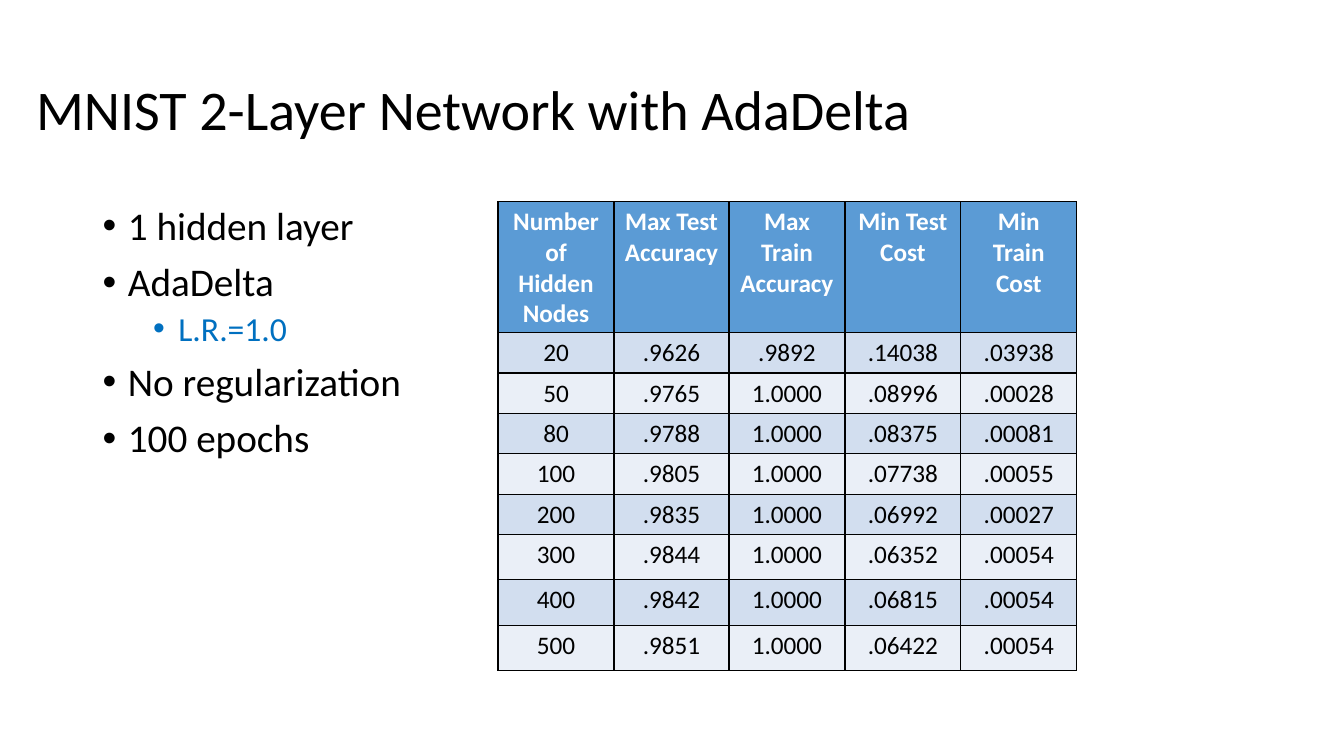
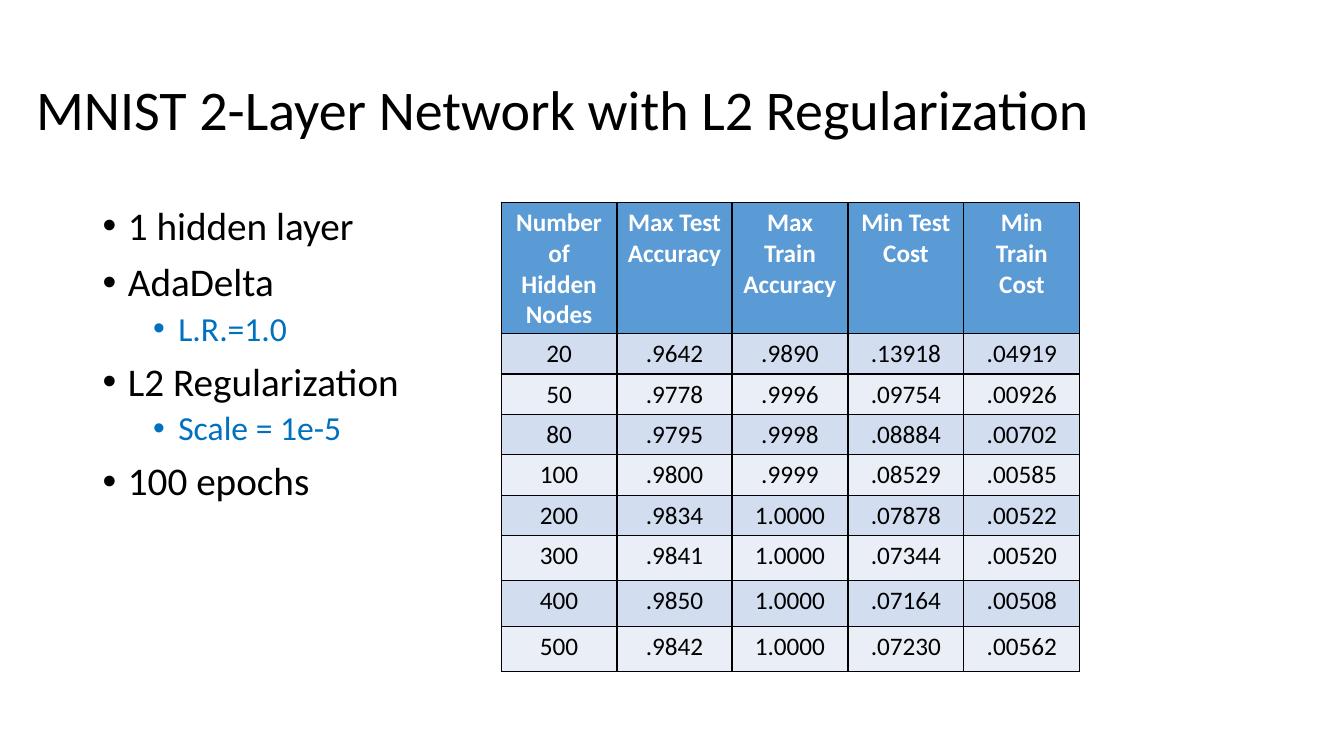
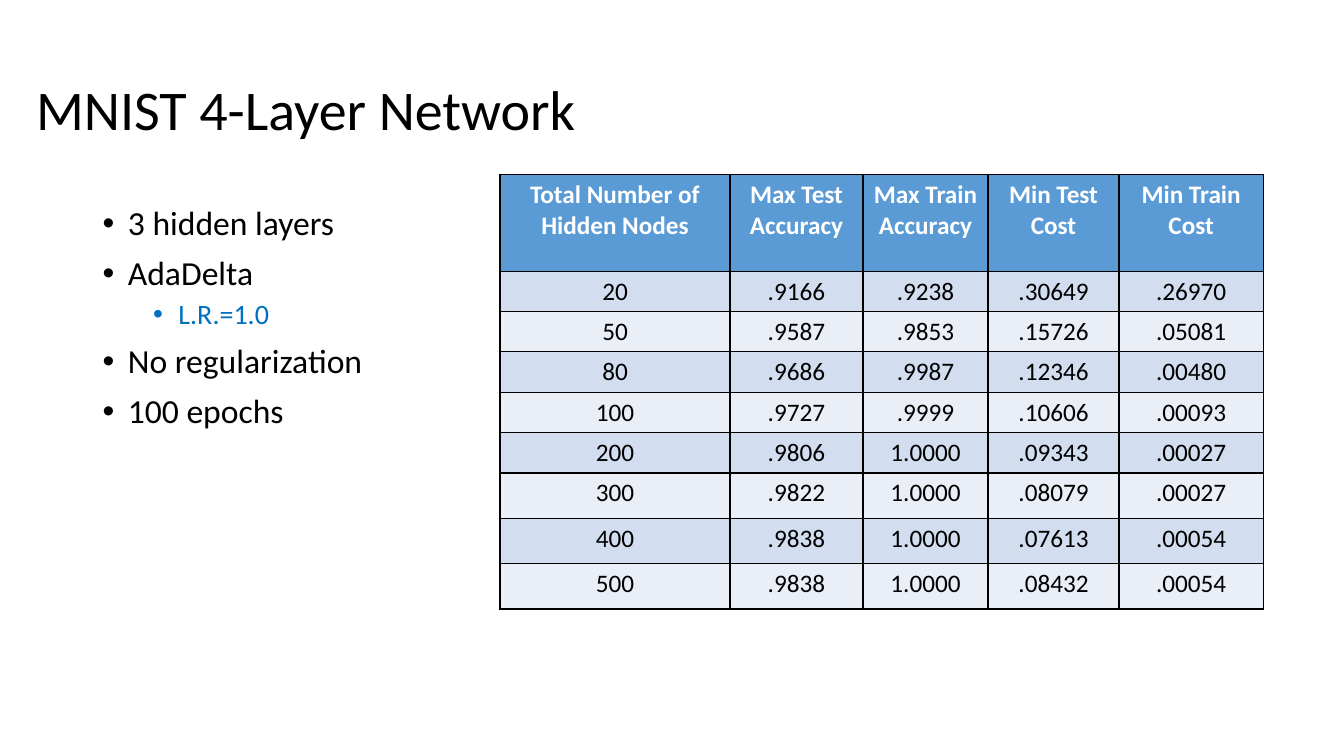
from dataclasses import dataclass

import lxml.etree
import pptx
import pptx.dml.color
import pptx.enum.text
import pptx.oxml.ns
import pptx.slide
import pptx.table
import pptx.text.text
import pptx.util

# Shared style
BLACK = pptx.dml.color.RGBColor(0x00, 0x00, 0x00)
WHITE = pptx.dml.color.RGBColor(0xFF, 0xFF, 0xFF)
ACCENT = pptx.dml.color.RGBColor(0x00, 0x70, 0xC0)
HEADER_FILL = pptx.dml.color.RGBColor(0x5B, 0x9B, 0xD5)
BAND_FILLS = (
    pptx.dml.color.RGBColor(0xD2, 0xDE, 0xEF),
    pptx.dml.color.RGBColor(0xEA, 0xEF, 0xF7),
)
FONT = "Calibri"
TITLE_SIZE = 40
TABLE_SIZE = 18
LINE_SPACING = 0.9
BORDER_WIDTH = 1

# Shared table structure
MEASURES = ["Max Test Accuracy", "Max Train Accuracy", "Min Test Cost", "Min Train Cost"]
NODE_COUNTS = ["20", "50", "80", "100", "200", "300", "400", "500"]
ROW_HEIGHTS = [0.96, 0.28, 0.33, 0.37, 0.37, 0.39, 0.45, 0.45, 0.45]
NARROW_COLUMNS = (1.15, 1.14, 1.15, 1.15, 1.15)
WIDE_COLUMNS = (2.28, 1.32, 1.24, 1.30, 1.43)


@dataclass
class Bullet:
    text: str
    level: int = 0


@dataclass
class Experiment:
    title: str
    bullets: list[Bullet]
    bullet_size: int
    table_left: float
    table_top: float
    column_widths: tuple[float, ...]
    nodes_heading: str
    results: list[str]  # one line of four measures per node count


EXPERIMENTS = [
    Experiment(
        title="MNIST 2-Layer Network with AdaDelta",
        bullets=[
            Bullet("1 hidden layer"),
            Bullet("AdaDelta"),
            Bullet("L.R.=1.0", 1),
            Bullet("No regularization"),
            Bullet("100 epochs"),
        ],
        bullet_size=28,
        table_left=4.94,
        table_top=2.0,
        column_widths=NARROW_COLUMNS,
        nodes_heading="Number of Hidden Nodes",
        results=[
            ".9626 .9892 .14038 .03938",
            ".9765 1.0000 .08996 .00028",
            ".9788 1.0000 .08375 .00081",
            ".9805 1.0000 .07738 .00055",
            ".9835 1.0000 .06992 .00027",
            ".9844 1.0000 .06352 .00054",
            ".9842 1.0000 .06815 .00054",
            ".9851 1.0000 .06422 .00054",
        ],
    ),
    Experiment(
        title="MNIST 2-Layer Network with L2 Regularization",
        bullets=[
            Bullet("1 hidden layer"),
            Bullet("AdaDelta"),
            Bullet("L.R.=1.0", 1),
            Bullet("L2 Regularization"),
            Bullet("Scale = 1e-5", 1),
            Bullet("100 epochs"),
        ],
        bullet_size=28,
        table_left=4.97,
        table_top=2.01,
        column_widths=NARROW_COLUMNS,
        nodes_heading="Number of Hidden Nodes",
        results=[
            ".9642 .9890 .13918 .04919",
            ".9778 .9996 .09754 .00926",
            ".9795 .9998 .08884 .00702",
            ".9800 .9999 .08529 .00585",
            ".9834 1.0000 .07878 .00522",
            ".9841 1.0000 .07344 .00520",
            ".9850 1.0000 .07164 .00508",
            ".9842 1.0000 .07230 .00562",
        ],
    ),
    Experiment(
        title="MNIST 4-Layer Network",
        bullets=[
            Bullet("3 hidden layers"),
            Bullet("AdaDelta"),
            Bullet("L.R.=1.0", 1),
            Bullet("No regularization"),
            Bullet("100 epochs"),
        ],
        bullet_size=24,
        table_left=4.96,
        table_top=1.73,
        column_widths=WIDE_COLUMNS,
        nodes_heading="Total Number of Hidden Nodes",
        results=[
            ".9166 .9238 .30649 .26970",
            ".9587 .9853 .15726 .05081",
            ".9686 .9987 .12346 .00480",
            ".9727 .9999 .10606 .00093",
            ".9806 1.0000 .09343 .00027",
            ".9822 1.0000 .08079 .00027",
            ".9838 1.0000 .07613 .00054",
            ".9838 1.0000 .08432 .00054",
        ],
    ),
]


def add_run(
    paragraph: pptx.text.text._Paragraph,
    text: str,
    size: int,
    color: pptx.dml.color.RGBColor,
    bold: bool = False,
) -> None:
    run = paragraph.add_run()
    run.text = text
    run.font.name = FONT
    run.font.size = pptx.util.Pt(size)
    run.font.bold = bold
    run.font.color.rgb = color


def add_text_frame(
    slide: pptx.slide.Slide, left: float, top: float, width: float, height: float
) -> pptx.text.text.TextFrame:
    shape = slide.shapes.add_textbox(
        pptx.util.Inches(left), pptx.util.Inches(top),
        pptx.util.Inches(width), pptx.util.Inches(height),
    )
    shape.text_frame.word_wrap = True
    return shape.text_frame


def add_title(slide: pptx.slide.Slide, title: str) -> None:
    text_frame = add_text_frame(slide, 0.26, 0.39, 11.5, 1.45)
    text_frame.vertical_anchor = pptx.enum.text.MSO_ANCHOR.MIDDLE
    paragraph = text_frame.paragraphs[0]
    paragraph.line_spacing = LINE_SPACING
    add_run(paragraph, title, TITLE_SIZE, BLACK)


def add_bullets(slide: pptx.slide.Slide, bullets: list[Bullet], size: int) -> None:
    text_frame = add_text_frame(slide, 0.92, 2.0, 3.39, 3.37)
    for index, bullet in enumerate(bullets):
        paragraph = text_frame.add_paragraph() if index else text_frame.paragraphs[0]
        paragraph.level = bullet.level
        paragraph.line_spacing = LINE_SPACING
        if index:
            paragraph.space_before = pptx.util.Pt(5 if bullet.level else 10)

        # Hanging indent and bullet character
        properties = paragraph._p.get_or_add_pPr()
        properties.set("marL", str(pptx.util.Inches(0.25 + 0.5 * bullet.level)))
        properties.set("indent", str(pptx.util.Inches(-0.25)))
        bullet_font = lxml.etree.SubElement(properties, pptx.oxml.ns.qn("a:buFont"))
        bullet_font.set("typeface", "Arial")
        bullet_character = lxml.etree.SubElement(properties, pptx.oxml.ns.qn("a:buChar"))
        bullet_character.set("char", "•")

        add_run(paragraph, bullet.text, size - 4 * bullet.level, ACCENT if bullet.level else BLACK)


def set_borders(cell: pptx.table._Cell) -> None:
    properties = cell._tc.get_or_add_tcPr()
    for position, side in enumerate(("a:lnL", "a:lnR", "a:lnT", "a:lnB")):
        line = lxml.etree.Element(pptx.oxml.ns.qn(side))
        line.set("w", str(pptx.util.Pt(BORDER_WIDTH)))
        fill = lxml.etree.SubElement(line, pptx.oxml.ns.qn("a:solidFill"))
        color = lxml.etree.SubElement(fill, pptx.oxml.ns.qn("a:srgbClr"))
        color.set("val", str(BLACK))
        properties.insert(position, line)


def add_results_table(slide: pptx.slide.Slide, experiment: Experiment) -> None:
    rows = [[experiment.nodes_heading, *MEASURES]]
    rows += [[count, *line.split()] for count, line in zip(NODE_COUNTS, experiment.results)]
    table = slide.shapes.add_table(
        len(rows), len(rows[0]),
        pptx.util.Inches(experiment.table_left), pptx.util.Inches(experiment.table_top),
        pptx.util.Inches(sum(experiment.column_widths)), pptx.util.Inches(sum(ROW_HEIGHTS)),
    ).table
    table.first_row = False
    table.horz_banding = False
    for column, width in zip(table.columns, experiment.column_widths):
        column.width = pptx.util.Inches(width)
    for row, height in zip(table.rows, ROW_HEIGHTS):
        row.height = pptx.util.Inches(height)

    for row_index, texts in enumerate(rows):
        is_header = row_index == 0
        for column_index, text in enumerate(texts):
            cell = table.cell(row_index, column_index)
            cell.fill.solid()
            cell.fill.fore_color.rgb = HEADER_FILL if is_header else BAND_FILLS[(row_index - 1) % 2]
            set_borders(cell)
            paragraph = cell.text_frame.paragraphs[0]
            paragraph.alignment = pptx.enum.text.PP_ALIGN.CENTER
            add_run(paragraph, text, TABLE_SIZE, WHITE if is_header else BLACK, is_header)


def main() -> None:
    presentation = pptx.Presentation()
    presentation.slide_width = pptx.util.Inches(13.33)
    presentation.slide_height = pptx.util.Inches(7.5)
    blank_layout = presentation.slide_layouts[6]
    for experiment in EXPERIMENTS:
        slide = presentation.slides.add_slide(blank_layout)
        add_title(slide, experiment.title)
        add_results_table(slide, experiment)
        add_bullets(slide, experiment.bullets, experiment.bullet_size)
    presentation.save("out.pptx")


if __name__ == "__main__":
    main()
